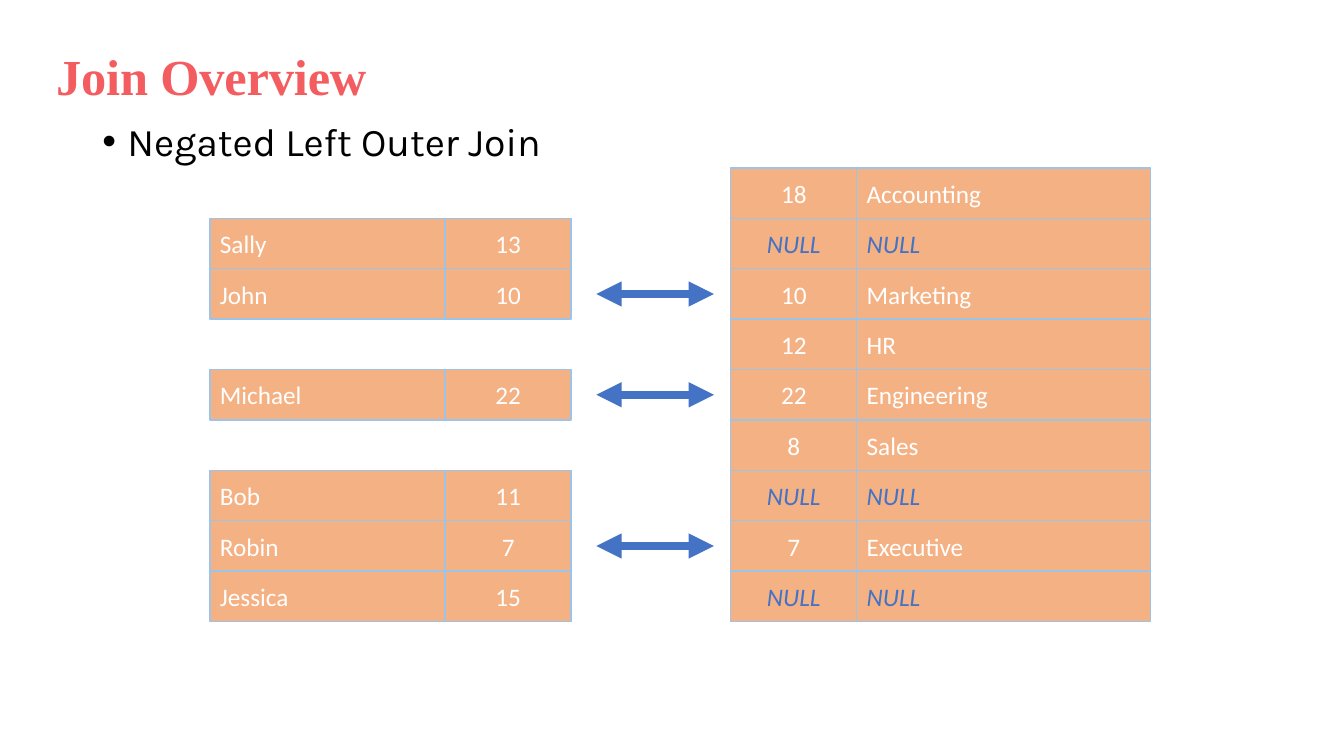
from lxml import etree
from pptx import Presentation
from pptx.dml.color import RGBColor
from pptx.enum.shapes import MSO_CONNECTOR as Connector, MSO_SHAPE as Preset
from pptx.enum.text import MSO_ANCHOR as Anchor, PP_ALIGN as Align
from pptx.oxml.ns import qn
from pptx.util import Inches, Pt

CORAL = RGBColor(0xF4, 0x5D, 0x60)
ORANGE = RGBColor(0xF4, 0xB1, 0x83)
PALE_BLUE = RGBColor(0x9D, 0xC3, 0xE6)
BLUE = RGBColor(0x44, 0x72, 0xC4)
WHITE = RGBColor(0xFF, 0xFF, 0xFF)
BLACK = RGBColor(0x00, 0x00, 0x00)

# The slide is a grid of 160 columns by 90 rows, each 1/12 inch.
COLUMNS, ROWS = 160, 90
TABLE_TOP, RECORD_HEIGHT = 20, 6
NAME_LEFT, NAME_WIDTH = 25, 28
DEPARTMENT_LEFT, DEPARTMENT_WIDTH = 102, 35
EMPLOYEE_KEY_LEFT, DEPARTMENT_KEY_LEFT, KEY_WIDTH = 53, 87, 15
ARROW_LEFT, ARROW_RIGHT = 71, 85

# Employee, employee's key, department's key, department
RECORDS = [
    (None, None, "18", "Accounting"),
    ("Sally", "13", "NULL", "NULL"),
    ("John", "10", "10", "Marketing"),
    (None, None, "12", "HR"),
    ("Michael", "22", "22", "Engineering"),
    (None, None, "8", "Sales"),
    ("Bob", "11", "NULL", "NULL"),
    ("Robin", "7", "7", "Executive"),
    ("Jessica", "15", "NULL", "NULL"),
]


def grid(units):
    return Inches(units / 12)


def write_text(frame, text, *, font, size, color, bold=None, italic=None,
               align=Align.LEFT, anchor=Anchor.TOP, tracking=None):
    """Put one formatted paragraph in the frame and return it."""
    frame.word_wrap = True
    frame.vertical_anchor = anchor
    paragraph = frame.paragraphs[0]
    paragraph.alignment = align
    run = paragraph.add_run()
    run.text = text
    run.font.name = font
    run.font.size = Pt(size)
    run.font.color.rgb = color
    run.font.bold = bold
    run.font.italic = italic
    if tracking is not None:
        run.font._element.set("spc", str(round(tracking * 100)))
    return paragraph


class JoinSlide:
    def __init__(self, presentation):
        self.slide = presentation.slides.add_slide(presentation.slide_layouts[6])
        self.shapes = self.slide.shapes

    def text(self, left, top, width, height, text, **style):
        box = self.shapes.add_textbox(*map(grid, (left, top, width, height)))
        return write_text(box.text_frame, text, **style)

    def bullet(self, left, top, width, height, text, **style):
        paragraph = self.text(left, top, width, height, text, **style)
        paragraph.line_spacing = 0.9
        paragraph.space_before = Pt(10)
        properties = paragraph._p.get_or_add_pPr()
        properties.set("marL", str(grid(3)))
        properties.set("indent", str(-grid(3)))
        etree.SubElement(properties, qn("a:buFont"), typeface="Arial")
        etree.SubElement(properties, qn("a:buChar"), char="•")

    def cell(self, left, top, width, text, align=Align.LEFT):
        cell = self.shapes.add_shape(
            Preset.RECTANGLE, *map(grid, (left, top, width, RECORD_HEIGHT)))
        cell.shadow.inherit = False
        cell.fill.solid()
        cell.fill.fore_color.rgb = ORANGE
        cell.line.color.rgb = PALE_BLUE
        cell.line.width = Pt(1)
        missing = text == "NULL"
        write_text(cell.text_frame, text, font="Calibri", size=18,
                   color=BLUE if missing else WHITE, italic=missing,
                   align=align, anchor=Anchor.MIDDLE)

    def match_arrow(self, row):
        arrow = self.shapes.add_connector(
            Connector.STRAIGHT, *map(grid, (ARROW_LEFT, row, ARROW_RIGHT, row)))
        arrow.line.color.rgb = BLUE
        arrow.line.width = Pt(6)
        line = arrow.line._get_or_add_ln()
        for end in ("a:headEnd", "a:tailEnd"):
            etree.SubElement(line, qn(end), type="triangle")
        etree.SubElement(arrow._element.spPr, qn("a:effectLst"))

    def record(self, index, name, employee_key, department_key, department):
        top = TABLE_TOP + index * RECORD_HEIGHT
        if name:
            self.cell(NAME_LEFT, top, NAME_WIDTH, name)
            self.cell(EMPLOYEE_KEY_LEFT, top, KEY_WIDTH, employee_key, Align.CENTER)
        self.cell(DEPARTMENT_LEFT, top, DEPARTMENT_WIDTH, department)
        self.cell(DEPARTMENT_KEY_LEFT, top, KEY_WIDTH, department_key, Align.CENTER)
        if employee_key == department_key:
            self.match_arrow(top + RECORD_HEIGHT / 2)


def main():
    presentation = Presentation()
    presentation.slide_width = grid(COLUMNS)
    presentation.slide_height = grid(ROWS)
    slide = JoinSlide(presentation)
    slide.bullet(11, 14, 138, 57, "Negated Left Outer Join",
                 font="Karla", size=28, color=BLACK)
    for index, record in enumerate(RECORDS):
        slide.record(index, *record)
    slide.text(5.5, 4.8, 80, 8.5, "Join Overview", font="Times New Roman",
               size=36, color=CORAL, bold=True, tracking=-0.1)
    presentation.save("out.pptx")


if __name__ == "__main__":
    main()
